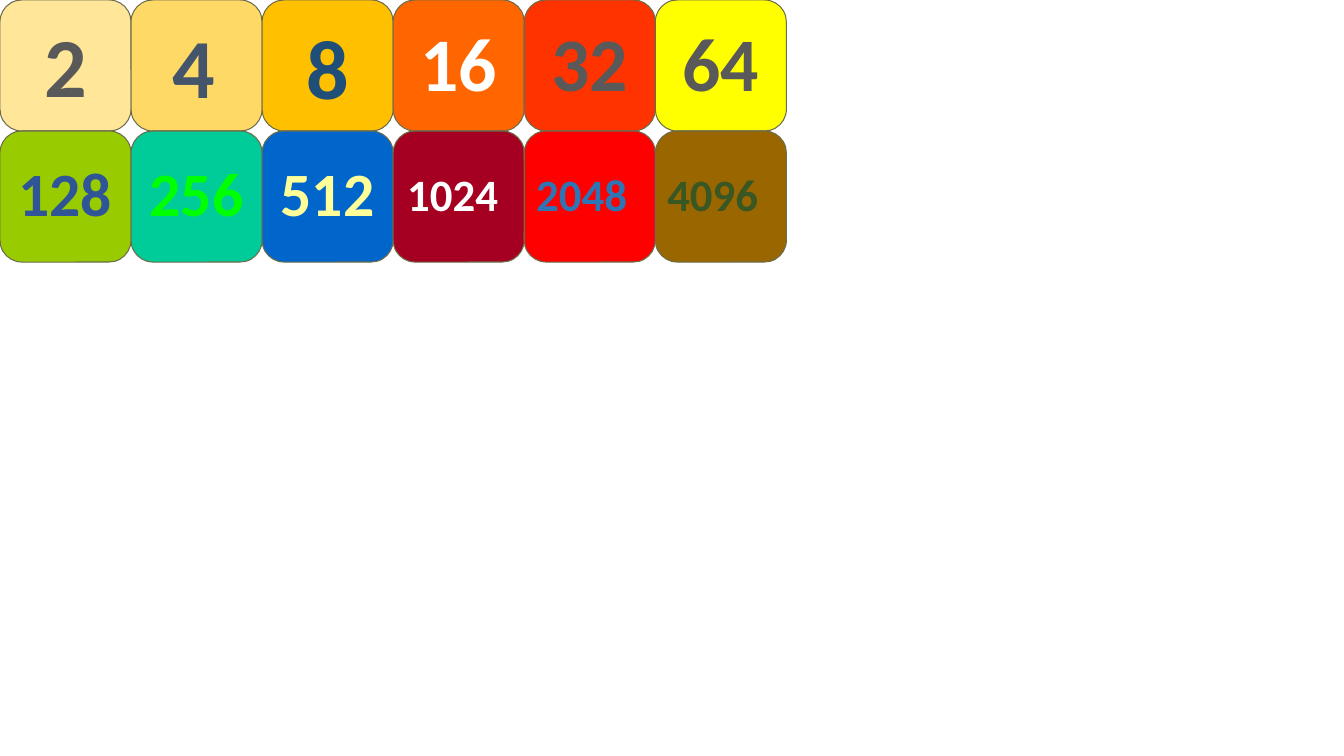
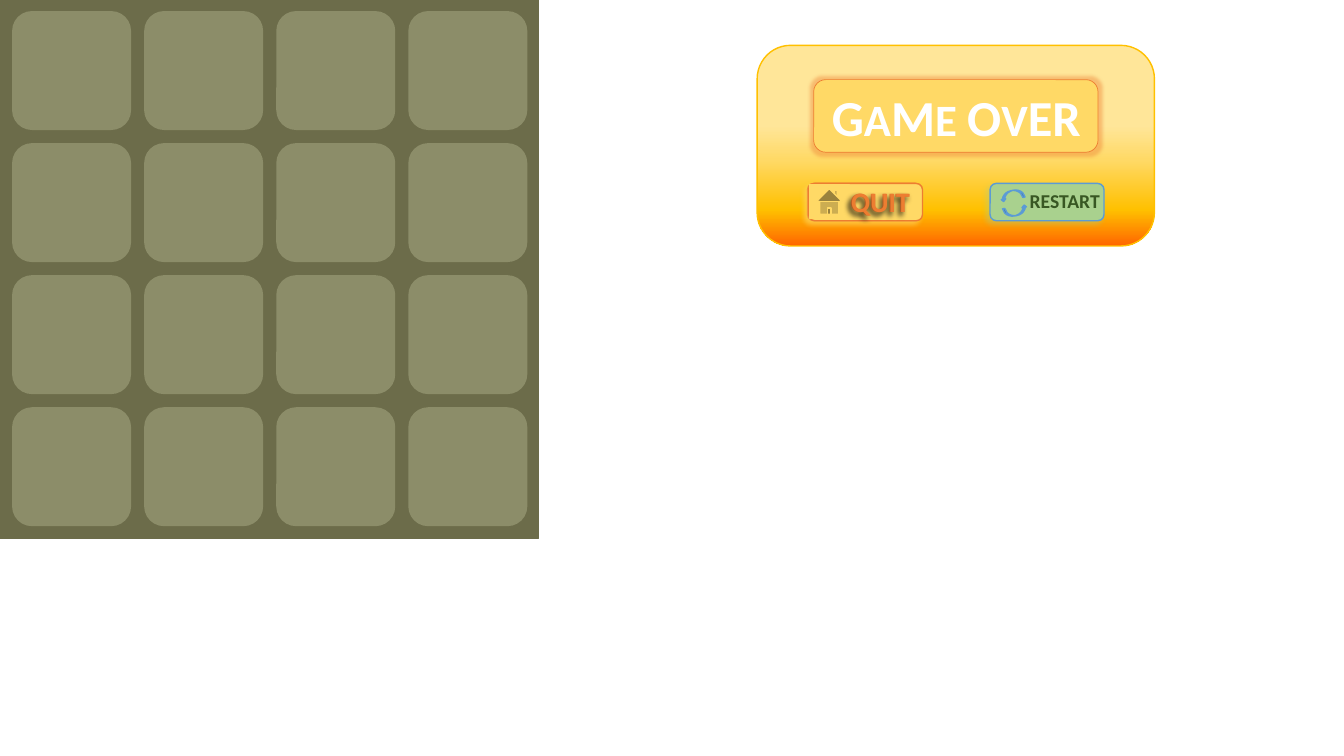
from dataclasses import dataclass
from typing import Optional

from lxml import etree
from pptx import Presentation
from pptx.dml.color import RGBColor
from pptx.enum.shapes import MSO_SHAPE
from pptx.enum.text import MSO_ANCHOR, MSO_AUTO_SIZE, PP_ALIGN
from pptx.oxml.ns import qn
from pptx.util import Emu, Pt

PX = 9144  # 100 px to the inch
FONT = "Calibri"
RECT = MSO_SHAPE.RECTANGLE
ROUND = MSO_SHAPE.ROUNDED_RECTANGLE
HOME = MSO_SHAPE.ACTION_BUTTON_HOME
CURVED_UP = MSO_SHAPE.CURVED_UP_ARROW
LEFT, CENTER = PP_ALIGN.LEFT, PP_ALIGN.CENTER
TOP = MSO_ANCHOR.TOP
GROW = MSO_AUTO_SIZE.SHAPE_TO_FIT_TEXT

OLIVE, SAGE = "6C6C4A", "8C8D69"
CREAM, SAND, GOLD = "FFE699", "FFD966", "FFC000"
ORANGE, FLAME = "ED7D31", "FF6600"
BLUE, GREEN, WHITE, GREY = "5B9BD5", "A9D18E", "FFFFFF", "595959"

TILE, TILES_PER_ROW = 130, 6
CELL, CELL_PITCH, CELLS_PER_SIDE = 118, 131, 4
PANEL_STOPS = [(21, CREAM), (40, CREAM), (57, SAND), (82, GOLD), (100, FLAME)]


@dataclass
class Box:
    x: int
    y: int
    w: int
    h: int


@dataclass
class Tile:
    text: str
    fill: str
    color: str
    size: int
    label: Box  # measured from the tile's corner
    align: PP_ALIGN = CENTER
    filled: bool = True


@dataclass
class Part:
    kind: MSO_SHAPE
    box: Box
    fill: str
    line: str
    line_pt: float = 1
    rotation: int = 0
    shadow: Optional[str] = None


@dataclass
class Caption:
    box: Box
    runs: list[tuple[str, int]]
    color: str
    outlined: bool = True
    shadowed: bool = False


def rgb(color: str) -> RGBColor:
    return RGBColor.from_string(color)


def emu(box: Box) -> list[Emu]:
    return [Emu(v * PX) for v in (box.x, box.y, box.w, box.h)]


def add_color(parent, color: str, alpha: int = 100) -> None:
    clr = etree.SubElement(parent, qn("a:srgbClr"), val=color)
    if alpha < 100:
        etree.SubElement(clr, qn("a:alpha"), val=str(alpha * 1000))


def add_effect(shape, tag: str, color: str, alpha: int, **attrs: str) -> None:
    shape.shadow.inherit = False
    effects = shape._element.spPr.find(qn("a:effectLst"))
    add_color(etree.SubElement(effects, qn(tag), **attrs), color, alpha)


def add_shadow(shape, color: str, alpha: int) -> None:
    add_effect(shape, "a:outerShdw", color, alpha, blurRad=str(Pt(4)),
               dist=str(Pt(3)), dir="8100000", algn="tr", rotWithShape="0")


def add_shape(shapes, kind: MSO_SHAPE, box: Box, fill: str,
              line: Optional[str] = None, line_pt: float = 1):
    sp = shapes.add_shape(kind, *emu(box))
    sp.shadow.inherit = False
    sp.fill.solid()
    sp.fill.fore_color.rgb = rgb(fill)
    if line:
        sp.line.color.rgb = rgb(line)
        sp.line.width = Pt(line_pt)
    else:
        sp.line.fill.background()
    return sp


def set_gradient(sp, stops: list[tuple[int, str]]) -> None:
    sp.fill.gradient()
    sp.fill.gradient_angle = 270
    gs_list = sp._element.spPr.find(qn("a:gradFill")).find(qn("a:gsLst"))
    for gs in list(gs_list):
        gs_list.remove(gs)
    for pos, color in stops:
        add_color(etree.SubElement(gs_list, qn("a:gs"), pos=str(pos * 1000)), color)


def add_text(shapes, box: Box, runs: list[tuple[str, int]], color: str,
             align: PP_ALIGN = CENTER, outlined: bool = False):
    sp = shapes.add_textbox(*emu(box))
    tf = sp.text_frame
    tf.word_wrap = True
    tf.auto_size = GROW
    tf.vertical_anchor = TOP
    p = tf.paragraphs[0]
    p.alignment = align
    for text, size in runs:
        r = p.add_run()
        r.text = text
        r.font.name = FONT
        r.font.size = Pt(size)
        r.font.bold = True
        r.font.color.rgb = rgb(color)
        if outlined:
            ln = etree.Element(qn("a:ln"), w=str(Pt(0.75)))
            add_color(etree.SubElement(ln, qn("a:solidFill")), WHITE)
            r._r.get_or_add_rPr().insert(0, ln)
    return sp


TWO_DIGITS = Box(12, 11, 106, 111)
THREE_DIGITS = Box(2, 19, 126, 84)
FOUR_DIGITS = Box(2, 30, 126, 70)
TILES = [
    Tile("2", CREAM, GREY, 60, Box(26, 8, 79, 118), filled=False),
    Tile("4", SAND, "44546A", 60, Box(23, 9, 79, 118), filled=False),
    Tile("8", GOLD, "1F4E79", 60, Box(34, 10, 62, 111), filled=False),
    Tile("16", FLAME, WHITE, 54, TWO_DIGITS, filled=False),
    Tile("32", "FF3300", GREY, 54, TWO_DIGITS),
    Tile("64", "FFFF00", GREY, 54, TWO_DIGITS),
    Tile("128", "99CC00", "2F5597", 44, THREE_DIGITS),
    Tile("256", "00CC99", "00FF00", 44, THREE_DIGITS),
    Tile("512", "0066CC", "FFFF99", 44, THREE_DIGITS),
    Tile("1024", "A50021", WHITE, 32, Box(4, 30, 126, 70), LEFT),
    Tile("2048", "FF0000", "2E75B6", 32, FOUR_DIGITS, LEFT),
    Tile("4096", "996600", "385723", 32, FOUR_DIGITS, LEFT),
]

BUTTONS = [
    Part(ROUND, Box(982, 182, 113, 37), GREEN, BLUE, shadow=GREEN),
    Part(ROUND, Box(801, 182, 113, 37), SAND, ORANGE, shadow=SAND),
    Part(ROUND, Box(802, 182, 113, 37), SAND, ORANGE, shadow=SAND),
    Part(HOME, Box(803, 183, 39, 34), SAND, SAND),
    Part(CURVED_UP, Box(995, 205, 24, 9), BLUE, BLUE, rotation=350),
    Part(CURVED_UP, Box(992, 189, 24, 9), BLUE, BLUE, rotation=168),
]

TITLE_RUNS = [("G", 36), ("A", 32), ("M", 36), ("E ", 32),
              ("O", 36), ("V", 32), ("ER", 36)]
CAPTIONS = [
    Caption(Box(815, 80, 267, 71), TITLE_RUNS, WHITE, outlined=False),
    Caption(Box(831, 178, 83, 44), [("QUIT", 20)], ORANGE, shadowed=True),
    Caption(Box(1010, 183, 92, 34), [("RESTART", 14)], "385723"),
    Caption(Box(832, 178, 83, 44), [("QUIT", 20)], ORANGE, shadowed=True),
]


def draw_tiles(s) -> None:
    shapes = s.shapes.add_group_shape().shapes
    for i, tile in enumerate(TILES):
        row, col = divmod(i, TILES_PER_ROW)
        x, y = col * TILE, row * TILE
        add_shape(shapes, ROUND, Box(x, y, TILE, TILE), tile.fill, OLIVE, 0.75)
        label = Box(x + tile.label.x, y + tile.label.y, tile.label.w, tile.label.h)
        sp = add_text(shapes, label, [(tile.text, tile.size)], tile.color, tile.align)
        if tile.filled:
            sp.fill.solid()
            sp.fill.fore_color.rgb = rgb(tile.fill)


def draw_board(s) -> None:
    shapes = s.shapes.add_group_shape().shapes
    add_shape(shapes, RECT, Box(-1, -1, 535, 535), OLIVE, OLIVE)
    for row in range(CELLS_PER_SIDE):
        for col in range(CELLS_PER_SIDE):
            cell = Box(12 + col * CELL_PITCH, 11 + row * CELL_PITCH, CELL, CELL)
            add_shape(shapes, ROUND, cell, SAGE)


def draw_game_over(s) -> None:
    shapes = s.shapes.add_group_shape().shapes
    # Panel and title plate
    panel = add_shape(shapes, ROUND, Box(751, 45, 394, 199), GOLD, GOLD)
    set_gradient(panel, PANEL_STOPS)
    plate = add_shape(shapes, ROUND, Box(807, 79, 282, 72), SAND, ORANGE, 0.5)
    add_effect(plate, "a:glow", ORANGE, 40, rad=str(Pt(5)))
    # Buttons and their icons
    for part in BUTTONS:
        sp = add_shape(shapes, part.kind, part.box, part.fill, part.line, part.line_pt)
        sp.rotation = part.rotation
        if part.shadow:
            add_shadow(sp, part.shadow, 40)
    # Title and button captions
    for cap in CAPTIONS:
        sp = add_text(shapes, cap.box, cap.runs, cap.color, outlined=cap.outlined)
        if cap.shadowed:
            add_shadow(sp, "000000", 50)


def main() -> None:
    prs = Presentation()
    prs.slide_width, prs.slide_height = Emu(1333 * PX), Emu(750 * PX)
    blank = prs.slide_layouts[6]
    draw_tiles(prs.slides.add_slide(blank))
    s = prs.slides.add_slide(blank)
    draw_board(s)
    draw_game_over(s)
    prs.save("out.pptx")


if __name__ == "__main__":
    main()
